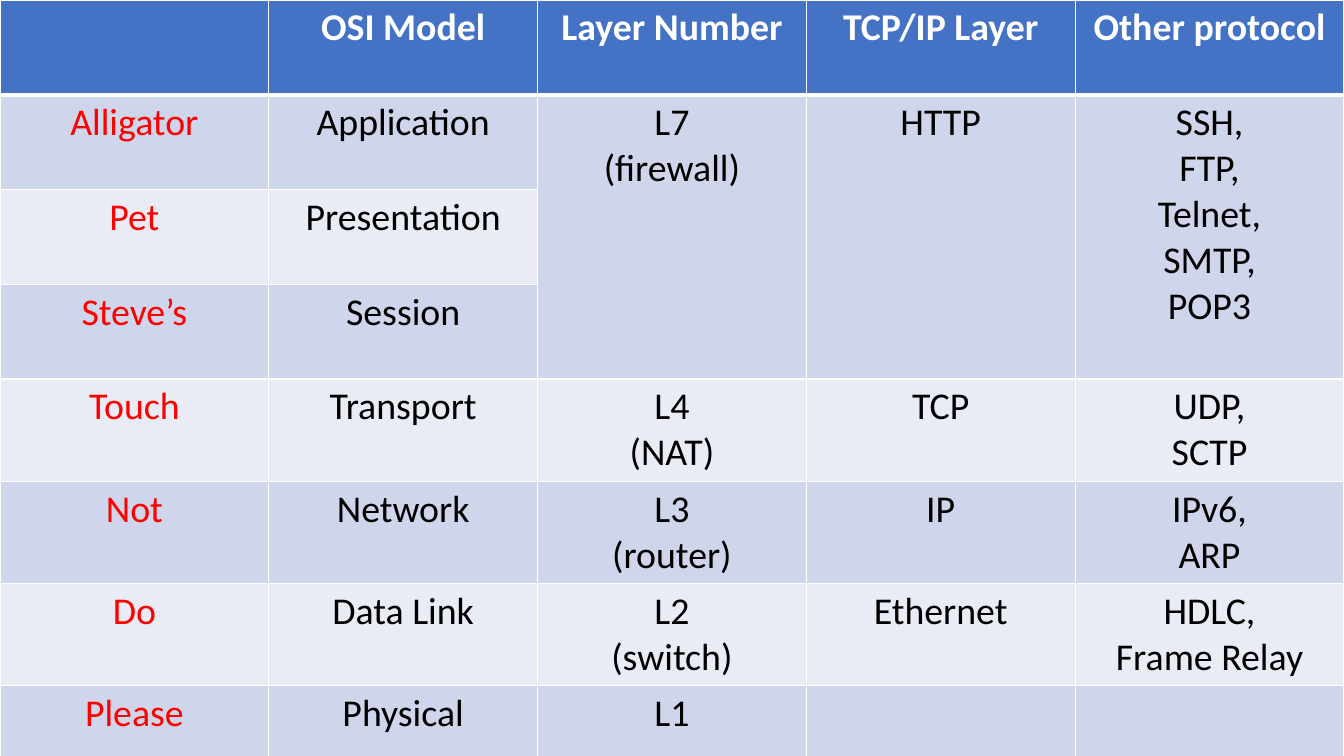
from pptx import Presentation
from pptx import util as u
from pptx.dml.color import RGBColor
from pptx.enum import text
from pptx.oxml.ns import qn
from lxml import etree

WHITE = RGBColor(0xFF, 0xFF, 0xFF)
BLACK = RGBColor(0x00, 0x00, 0x00)
RED = RGBColor(0xFF, 0x00, 0x00)
HEADER_BLUE = RGBColor(0x44, 0x72, 0xC4)
BAND_DARK = RGBColor(0xCF, 0xD5, 0xEA)
BAND_LIGHT = RGBColor(0xE9, 0xEB, 0xF5)

SLIDE_WIDTH, SLIDE_HEIGHT = u.Inches(13.33), u.Inches(7.5)
ROW_HEIGHT = u.Inches(0.94)
SHARED_FIRST_ROW, SHARED_LAST_ROW = 1, 3  # rows that share one TCP/IP layer

# Mnemonic, OSI layer, layer number, TCP/IP layer, other protocols
LAYERS = [
    ["", "OSI Model", "Layer Number", "TCP/IP Layer", "Other protocol"],
    ["Alligator", "Application", "L7\n(firewall)", "HTTP",
     "SSH,\nFTP,\nTelnet,\nSMTP,\nPOP3"],
    ["Pet", "Presentation", "", "", ""],
    ["Steve’s", "Session", "", "", ""],
    ["Touch", "Transport", "L4\n(NAT)", "TCP", "UDP,\nSCTP"],
    ["Not", "Network", "L3\n(router)", "IP", "IPv6,\nARP"],
    ["Do", "Data Link", "L2\n(switch)", "Ethernet", "HDLC,\nFrame Relay"],
    ["Please", "Physical", "L1", "", ""],
]


def write_text(frame, content, *, color=BLACK, bold=False, size=27, font="Calibri"):
    """Fill a text frame with centred paragraphs, one per line."""
    frame.text = content
    for paragraph in frame.paragraphs:
        paragraph.alignment = text.PP_ALIGN.CENTER
        for run in paragraph.runs:
            run.font.name = font
            run.font.size = u.Pt(size)
            run.font.bold = bold
            run.font.color.rgb = color


def set_borders(cell, color=WHITE, **widths):
    """Draw cell borders; widths are points for L, R, T and B."""
    properties = cell._tc.get_or_add_tcPr()
    for side in "LRTB":
        line = etree.SubElement(properties, qn(f"a:ln{side}"),
                                w=str(u.Pt(widths.get(side, 1))))
        fill = etree.SubElement(line, qn("a:solidFill"))
        etree.SubElement(fill, qn("a:srgbClr"), val=str(color))


def style_cell(cell, row, column, content):
    header = row == 0
    set_borders(cell, B=3 if header else 1, T=3 if row == 1 else 1)
    cell.fill.solid()
    band = BAND_DARK if row % 2 else BAND_LIGHT
    cell.fill.fore_color.rgb = HEADER_BLUE if header else band
    color = WHITE if header else RED if column == 0 else BLACK
    write_text(cell.text_frame, content, color=color, bold=header)


def add_layer_table(slide):
    row_count, column_count = len(LAYERS), len(LAYERS[0])
    table = slide.shapes.add_table(row_count, column_count, 0, 0, SLIDE_WIDTH,
                                   ROW_HEIGHT * row_count).table
    for row, contents in enumerate(LAYERS):
        for column, content in enumerate(contents):
            style_cell(table.cell(row, column), row, column, content)

    # The top three OSI layers share their right-hand cells
    for column in range(2, column_count):
        table.cell(SHARED_FIRST_ROW, column).merge(table.cell(SHARED_LAST_ROW, column))


def main():
    deck = Presentation()
    deck.slide_width, deck.slide_height = SLIDE_WIDTH, SLIDE_HEIGHT
    blank_layout = deck.slide_layouts[6]
    add_layer_table(deck.slides.add_slide(blank_layout))
    deck.save("out.pptx")


if __name__ == "__main__":
    main()
